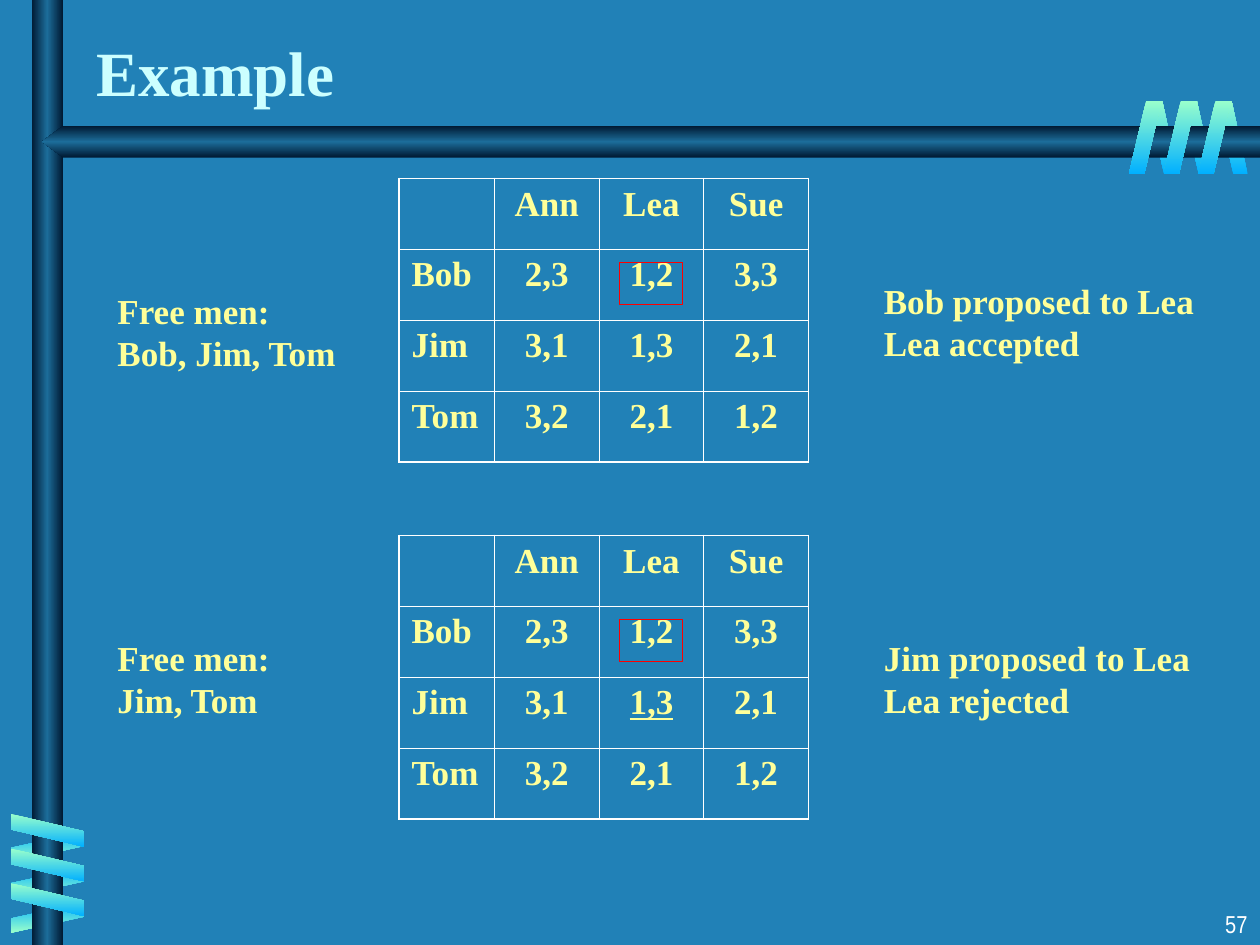
from lxml import etree
from pptx import Presentation
from pptx.dml.color import RGBColor
from pptx.enum import shapes, text
from pptx.oxml import ns
from pptx.util import Pt

BACKGROUND = RGBColor(0x21, 0x81, 0xB7)
TITLE = RGBColor(0xCC, 0xFF, 0xFF)
BODY = RGBColor(0xFF, 0xFF, 0x99)
WHITE = RGBColor(0xFF, 0xFF, 0xFF)
RED = RGBColor(0xFF, 0x00, 0x00)
SKY = RGBColor(0x01, 0xB0, 0xFF)
MINT = RGBColor(0x99, 0xFF, 0xCC)
NAVY = RGBColor(0x00, 0x19, 0x32)
STEEL = RGBColor(0x1C, 0x6D, 0x9A)
BAR_COLORS = (NAVY, STEEL, NAVY)
SERIF = "Times New Roman"
COIL_SIZE_BACK = (17.3, 41.8)
COIL_SIZE_FRONT = (18.7, 41.8)
COLUMN_WIDTHS = (54.6, 59.8, 59.8, 59.8)
ROW_HEIGHT = 40.5
PREFERENCES = (
    ("", "Ann", "Lea", "Sue"),
    ("Bob", "2,3", "1,2", "3,3"),
    ("Jim", "3,1", "1,3", "2,1"),
    ("Tom", "3,2", "2,1", "1,2"),
)


def add_element(parent, tag, **attributes):
    return etree.SubElement(parent, ns.qn(tag), attributes)


def fill_gradient(shape, colors, angle):
    shape.shadow.inherit = False
    shape.line.fill.background()
    shape.fill.gradient()
    gradient = shape._element.spPr.find(ns.qn("a:gradFill"))
    for child in list(gradient):
        gradient.remove(child)
    stops = add_element(gradient, "a:gsLst")
    for index, color in enumerate(colors):
        position = 100000 * index // (len(colors) - 1)
        stop = add_element(stops, "a:gs", pos=str(position))
        add_element(stop, "a:srgbClr", val=str(color))
    add_element(gradient, "a:lin", ang=str(angle * 60000), scaled="0")


def add_coil(slide, left, top, step, size, colors, angle, rotation=0, flipped=False):
    for index in range(3):
        shape = slide.shapes.add_shape(
            shapes.MSO_SHAPE.PARALLELOGRAM,
            Pt(left + index * step[0]), Pt(top + index * step[1]),
            Pt(size[0]), Pt(size[1]),
        )
        shape.adjustments[0] = 0.53
        shape.rotation = rotation
        if flipped:
            shape._element.spPr.find(ns.qn("a:xfrm")).set("flipH", "1")
        fill_gradient(shape, colors, angle)


def add_vertical_bar(slide):
    bar = slide.shapes.add_shape(
        shapes.MSO_SHAPE.RECTANGLE, Pt(18), Pt(0), Pt(18), Pt(540))
    fill_gradient(bar, BAR_COLORS, 180)


def add_pointed_bar(slide):
    builder = slide.shapes.build_freeform(Pt(720), Pt(72))
    corners = ((36, 72), (24, 81), (36, 90), (720, 90))
    builder.add_line_segments([(Pt(x), Pt(y)) for x, y in corners], close=True)
    fill_gradient(builder.convert_to_shape(), BAR_COLORS, 90)


def format_paragraph(paragraph, size, color, font=SERIF, bold=True):
    for run in paragraph.runs:
        run.font.size = Pt(size)
        run.font.name = font
        run.font.bold = bold
        run.font.color.rgb = color


def add_text(slide, content, left, top, width, height, size=20, color=BODY,
             font=SERIF, bold=True, align=text.PP_ALIGN.LEFT,
             anchor=text.MSO_ANCHOR.TOP):
    box = slide.shapes.add_textbox(Pt(left), Pt(top), Pt(width), Pt(height))
    frame = box.text_frame
    frame.word_wrap = True
    frame.vertical_anchor = anchor
    paragraph = frame.paragraphs[0]
    paragraph.text = content
    paragraph.alignment = align
    format_paragraph(paragraph, size, color, font, bold)


def add_borders(cell, row, column):
    last = len(PREFERENCES) - 1
    outer_edges = (("a:lnL", column == 0), ("a:lnR", column == last),
                   ("a:lnT", row == 0), ("a:lnB", row == last))
    properties = cell._tc.get_or_add_tcPr()
    for tag, outer in outer_edges:
        line = add_element(properties, tag, w=str(Pt(1.08 if outer else 0.45)))
        fill = add_element(line, "a:solidFill")
        add_element(fill, "a:srgbClr", val=str(WHITE))


def add_preferences(slide, left, top, underlined=None):
    size = len(PREFERENCES)
    frame = slide.shapes.add_table(
        size, size, Pt(left), Pt(top), Pt(sum(COLUMN_WIDTHS)), Pt(size * ROW_HEIGHT))
    table = frame.table
    table.first_row = table.horz_banding = False
    for column, width in enumerate(COLUMN_WIDTHS):
        table.columns[column].width = Pt(width)
    for row, values in enumerate(PREFERENCES):
        table.rows[row].height = Pt(ROW_HEIGHT)
        for column, value in enumerate(values):
            cell = table.cell(row, column)
            add_borders(cell, row, column)
            cell.fill.background()
            paragraph = cell.text_frame.paragraphs[0]
            paragraph.text = value
            paragraph.alignment = text.PP_ALIGN.CENTER if column else text.PP_ALIGN.LEFT
            format_paragraph(paragraph, 20, BODY)
            if (row, column) == underlined:
                paragraph.runs[0].font.underline = True


def add_match_frame(slide, left, top):
    frame = slide.shapes.add_shape(
        shapes.MSO_SHAPE.RECTANGLE, Pt(left), Pt(top), Pt(36), Pt(24))
    frame.shadow.inherit = False
    frame.fill.background()
    frame.line.color.rgb = RED
    frame.line.width = Pt(1)


def add_step(slide, top, free_men, free_top, outcome, outcome_top, underlined=None):
    add_text(slide, free_men, 60, free_top, 162, 55.6)
    add_preferences(slide, 228, top, underlined)
    add_text(slide, outcome, 498, outcome_top, 192, 55.6)
    add_match_frame(slide, 354, top + 48)


def main():
    presentation = Presentation()
    presentation.slide_width = Pt(720)
    presentation.slide_height = Pt(540)
    slide = presentation.slides.add_slide(presentation.slide_layouts[6])
    slide.background.fill.solid()
    slide.background.fill.fore_color.rgb = BACKGROUND

    add_coil(slide, 695.6, 57.6, (-19.8, 0), COIL_SIZE_BACK, (SKY, MINT), 90, 180, True)
    add_coil(slide, 18.6, 463, (0, 20.2), COIL_SIZE_BACK, (SKY, MINT), 180, 90, True)
    add_vertical_bar(slide)
    add_pointed_bar(slide)
    add_coil(slide, 17.8, 453.6, (0, 19.8), COIL_SIZE_FRONT, (MINT, SKY), 180, 270)
    add_coil(slide, 684.7, 57.6, (-19.8, 0), COIL_SIZE_FRONT, (MINT, SKY), 90)

    add_text(slide, "Example", 48, 12, 597.6, 54, 36, TITLE,
             anchor=text.MSO_ANCHOR.BOTTOM)
    add_step(slide, 102, "Free men:\nBob, Jim, Tom", 162,
             "Bob proposed to Lea\nLea accepted", 156)
    add_step(slide, 306, "Free men:\nJim, Tom", 360,
             "Jim proposed to Lea\nLea rejected", 360, underlined=(2, 2))
    add_text(slide, "57", 570, 516, 150, 24, 14, WHITE, "Arial Narrow", False,
             text.PP_ALIGN.RIGHT)
    presentation.save("out.pptx")


if __name__ == "__main__":
    main()
